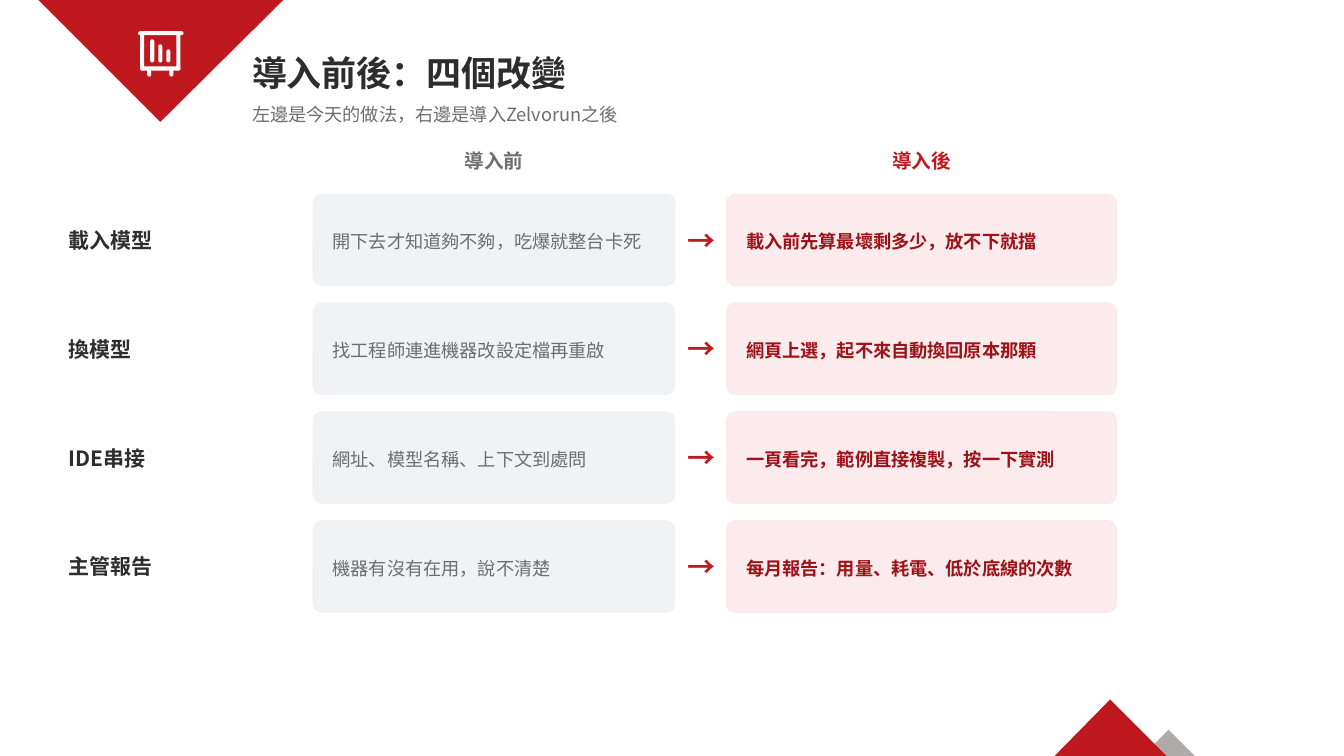
from typing import NamedTuple

from lxml.etree import SubElement
from pptx import Presentation
from pptx.dml.color import RGBColor
from pptx.enum.shapes import MSO_SHAPE as SHAPE
from pptx.enum.text import MSO_ANCHOR as ANCHOR, PP_ALIGN as ALIGN
from pptx.oxml.ns import qn
from pptx.util import Inches, Pt

FONT = "Noto Sans CJK TC"
RED, DARK_RED, PINK = "BF181F", "9C1218", "FBEBEC"
INK, GREY, PALE, SILVER, WHITE = "2D2D2D", "6E6E6E", "F1F2F4", "AFABAB", "FFFFFF"

ROW_TOP, ROW_STEP, ROW_HEIGHT = 1.92, 1.08, 0.92
HEADER_TOP, HEADER_HEIGHT = 1.48, 0.36
PADDING = 0.2


class Box(NamedTuple):
    left: float
    top: float
    width: float
    height: float


class Style(NamedTuple):
    size: float
    color: str
    bold: bool = False
    align: ALIGN = ALIGN.LEFT
    anchor: ANCHOR = ANCHOR.MIDDLE
    spacing: float = 1.0


class Column(NamedTuple):
    left: float
    width: float
    header: str
    header_color: str
    fill: str
    style: Style


class Change(NamedTuple):
    topic: str
    before: str
    after: str


class Triangle(NamedTuple):
    points: list[tuple[float, float]]
    color: str


BEFORE = Column(3.1, 3.6, "導入前", GREY, PALE, Style(13, GREY, spacing=1.15))
AFTER = Column(7.2, 3.88, "導入後", RED, PINK, Style(13, DARK_RED, True, spacing=1.15))
TOPIC = Style(15, INK, True)
ARROW = Style(20, RED, True, ALIGN.CENTER)

CHANGES = [
    Change("載入模型", "開下去才知道夠不夠，吃爆就整台卡死", "載入前先算最壞剩多少，放不下就擋"),
    Change("換模型", "找工程師連進機器改設定檔再重啟", "網頁上選，起不來自動換回原本那顆"),
    Change("IDE串接", "網址、模型名稱、上下文到處問", "一頁看完，範例直接複製，按一下實測"),
    Change("主管報告", "機器有沒有在用，說不清楚", "每月報告：用量、耗電、低於底線的次數"),
]

TRIANGLES = [
    Triangle([(11.59, 7.24), (11.85, 7.5), (11.33, 7.5)], SILVER),
    Triangle([(0.38, 0), (2.81, 0), (1.59, 1.21)], RED),
    Triangle([(11.01, 6.94), (11.57, 7.5), (10.46, 7.5)], RED),
]

CHART_BOARD = [
    Box(1.37, 0.31, 0.45, 0.04),  # top rail
    Box(1.39, 0.33, 0.04, 0.37),  # left side
    Box(1.75, 0.33, 0.04, 0.37),  # right side
    Box(1.39, 0.66, 0.4, 0.04),  # bottom rail
    Box(1.46, 0.68, 0.04, 0.08),  # left leg
    Box(1.68, 0.68, 0.04, 0.08),  # right leg
    Box(1.49, 0.39, 0.04, 0.23),  # bars
    Box(1.57, 0.44, 0.04, 0.18),
    Box(1.65, 0.49, 0.04, 0.13),
]


def rgb(color: str) -> RGBColor:
    return RGBColor.from_string(color)


def paint(sp, color: str) -> None:
    """Give a shape a flat fill without line or shadow."""
    sp.fill.solid()
    sp.fill.fore_color.rgb = rgb(color)
    sp.line.fill.background()
    sp.shadow.inherit = False


def add_triangle(s, triangle: Triangle) -> None:
    start, *rest = [(Inches(x), Inches(y)) for x, y in triangle.points]
    builder = s.shapes.build_freeform(*start)
    builder.add_line_segments(rest, close=True)
    paint(builder.convert_to_shape(), triangle.color)


def add_rounded(s, box: Box, color: str, radius: float) -> None:
    sp = s.shapes.add_shape(SHAPE.ROUNDED_RECTANGLE, *map(Inches, box))
    sp.adjustments[0] = radius
    paint(sp, color)


def add_text(s, box: Box, text: str, style: Style) -> None:
    tf = s.shapes.add_textbox(*map(Inches, box)).text_frame
    tf.word_wrap = True
    tf.margin_left = tf.margin_right = tf.margin_top = tf.margin_bottom = 0
    tf.vertical_anchor = style.anchor
    tf.text = text
    p = tf.paragraphs[0]
    p.alignment = style.align
    p.line_spacing = style.spacing
    r = p.runs[0]
    r.font.size = Pt(style.size)
    r.font.bold = style.bold
    r.font.color.rgb = rgb(style.color)
    r.font.name = FONT
    SubElement(r.font._element, qn("a:ea"), typeface=FONT)


def add_card(s, column: Column, top: float, text: str) -> None:
    add_rounded(s, Box(column.left, top, column.width, ROW_HEIGHT), column.fill, 0.1)
    inner = Box(column.left + PADDING, top, column.width - 2 * PADDING, ROW_HEIGHT)
    add_text(s, inner, text, column.style)


def add_change(s, top: float, change: Change) -> None:
    add_text(s, Box(0.68, top, 2.3, ROW_HEIGHT), change.topic, TOPIC)
    add_card(s, BEFORE, top, change.before)
    add_text(s, Box(6.76, top, 0.4, ROW_HEIGHT), "→", ARROW)
    add_card(s, AFTER, top, change.after)


def main() -> None:
    prs = Presentation()
    prs.slide_width, prs.slide_height = Inches(13.33), Inches(7.5)
    s = prs.slides.add_slide(prs.slide_layouts[6])

    for triangle in TRIANGLES:
        add_triangle(s, triangle)
    for part in CHART_BOARD:
        add_rounded(s, part, WHITE, 0.5)

    add_text(s, Box(2.5, 0.42, 10.2, 0.6), "導入前後：四個改變", Style(25, INK, True))
    add_text(s, Box(2.5, 1.02, 10.2, 0.32), "左邊是今天的做法，右邊是導入Zelvorun之後",
             Style(13, GREY, anchor=ANCHOR.TOP))

    for column in (BEFORE, AFTER):
        add_text(s, Box(column.left, HEADER_TOP, column.width, HEADER_HEIGHT), column.header,
                 Style(14, column.header_color, True, ALIGN.CENTER, ANCHOR.TOP))
    for i, change in enumerate(CHANGES):
        add_change(s, ROW_TOP + i * ROW_STEP, change)

    prs.save("out.pptx")


if __name__ == "__main__":
    main()
